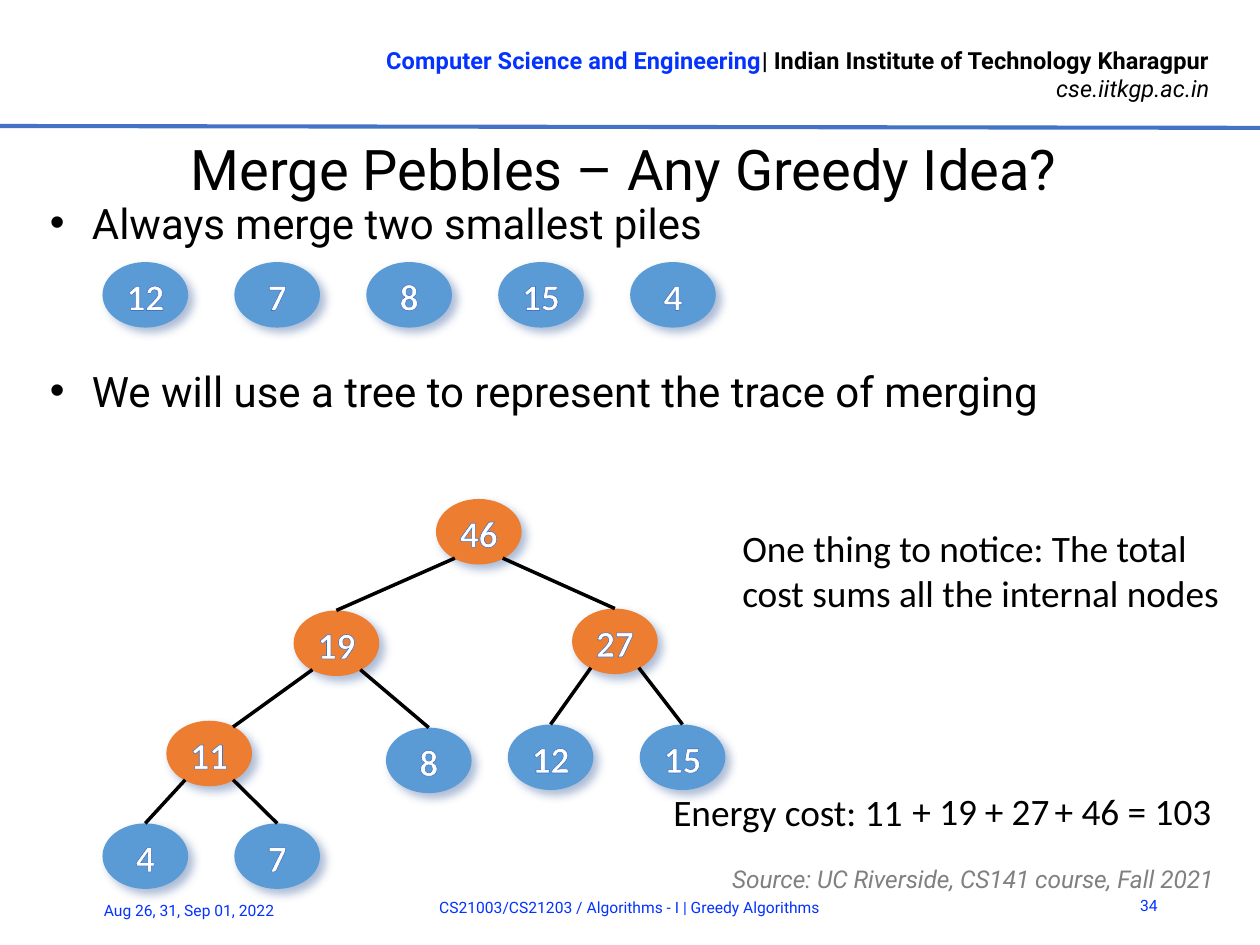
"""Build the slide on merging pebble piles greedily."""
from dataclasses import dataclass
from typing import Any, NamedTuple

from lxml import etree
from pptx import Presentation
from pptx import util as u
from pptx.dml.color import RGBColor
from pptx.enum import shapes, text
from pptx.oxml import ns

WIDTH = u.Inches(7.5)
HEIGHT = u.Emu(WIDTH * 3 // 4)
COLS, ROWS = 100, 75
NODE_W, NODE_H = 6.8, 5.2
SIDE_X, SIDE_Y = 1.9, 2.1
LEFT, MID, RIGHT = text.PP_ALIGN.LEFT, text.PP_ALIGN.CENTER, text.PP_ALIGN.RIGHT
TOP, CENTER = text.MSO_ANCHOR.TOP, text.MSO_ANCHOR.MIDDLE


@dataclass(frozen=True)
class Theme:
    """Hold the colours, fonts and type sizes."""
    ink: str = "000000"
    blue: str = "0432FF"
    rule: str = "4472C4"
    leaf: str = "5B9BD5"
    sum: str = "ED7D31"
    shade: str = "2F5597"
    white: str = "FFFFFF"
    grey: str = "808080"
    sans: str = "Roboto"
    plain: str = "Calibri"
    title: float = 24
    body: float = 18
    note: float = 16
    source: float = 10.5
    head: float = 10.13
    foot: float = 6.75


THEME = Theme()


class Run(NamedTuple):
    """Describe words with one look."""
    words: str
    size: float
    font: str = THEME.sans
    hue: str = THEME.ink
    bold: bool = False
    slant: bool = False


class Line(NamedTuple):
    """Describe one paragraph."""
    runs: list[Run]
    form: dict[str, Any] = {}
    mark: bool = False


class Box(NamedTuple):
    """Describe a text box in grid units."""
    x: float
    y: float
    w: float
    h: float
    lines: list[Line]
    anchor: Any = TOP
    wrap: bool = True


class Node(NamedTuple):
    """Describe one pile in grid units."""
    label: str
    x: float
    y: float
    hue: str = THEME.leaf


class Edge(NamedTuple):
    """Describe a branch; side is -1 for left and 1 for right."""
    start: str
    end: str
    side: int
    top: bool = True


def col(n: float) -> int:
    """Turn columns into a length."""
    return round(WIDTH * n / COLS)


def row(n: float) -> int:
    """Turn rows into a length."""
    return round(HEIGHT * n / ROWS)


def style(item: Any, form: dict[str, Any]) -> None:
    """Set each format value on an item."""
    for name, value in form.items():
        setattr(item, name, value)


def fill_text(frame: Any, lines: list[Line], form: dict[str, Any]) -> None:
    """Write styled lines into a text frame."""
    style(frame, form)
    for i, line in enumerate(lines):
        para = frame.add_paragraph() if i else frame.paragraphs[0]
        style(para, line.form)
        if line.mark:
            props = para._p.get_or_add_pPr()
            for name, inch in {"marL": 0.25, "indent": -0.25}.items():
                props.set(name, str(int(u.Inches(inch))))
            etree.SubElement(props, ns.qn("a:buFont")).set("typeface", "Arial")
            etree.SubElement(props, ns.qn("a:buChar")).set("char", "•")
        for part in line.runs:
            run = para.add_run()
            run.text = part.words
            style(run.font, {"size": u.Pt(part.size), "name": part.font,
                             "bold": part.bold, "italic": part.slant})
            run.font.color.rgb = RGBColor.from_string(part.hue)


def draw_box(slide: Any, box: Box) -> None:
    """Draw one text box."""
    shape = slide.shapes.add_textbox(col(box.x), row(box.y), col(box.w), row(box.h))
    fill_text(shape.text_frame, box.lines,
              {"word_wrap": box.wrap, "vertical_anchor": box.anchor})


def add_hue(parent: Any, hue: str) -> Any:
    """Add a colour element under a parent."""
    tint = etree.SubElement(parent, ns.qn("a:srgbClr"))
    tint.set("val", hue)
    return tint


def draw_node(slide: Any, node: Node) -> Any:
    """Draw one pile with a soft shadow and outlined label."""
    shape = slide.shapes.add_shape(shapes.MSO_SHAPE.OVAL, col(node.x), row(node.y),
                                   col(NODE_W), row(NODE_H))
    shape.fill.solid()
    shape.fill.fore_color.rgb = RGBColor.from_string(node.hue)
    shape.line.fill.background()
    shape.shadow.inherit = False
    glow = etree.SubElement(shape._element.spPr.find(ns.qn("a:effectLst")),
                            ns.qn("a:outerShdw"))
    for name, value in {"blurRad": u.Pt(4), "dist": u.Pt(3), "dir": 45 * 60000}.items():
        glow.set(name, str(int(value)))
    etree.SubElement(add_hue(glow, THEME.shade), ns.qn("a:alpha")).set("val", "40000")
    label = Run(node.label, THEME.note, THEME.plain, THEME.white, True)
    fill_text(shape.text_frame, [Line([label], {"alignment": MID})],
              {"margin_left": 0, "margin_right": 0, "margin_top": u.Inches(0.01),
               "margin_bottom": 0, "word_wrap": False, "vertical_anchor": CENTER})
    props = shape.text_frame.paragraphs[0].runs[0].font._element
    edge = etree.Element(ns.qn("a:ln"), w=str(int(u.Pt(0.8))))
    add_hue(etree.SubElement(edge, ns.qn("a:solidFill")), THEME.rule)
    props.insert(0, edge)
    return shape


def draw_line(slide: Any, ends: tuple[float, ...], hue: str, width: float) -> Any:
    """Draw a straight line between two grid points."""
    x1, y1, x2, y2 = ends
    line = slide.shapes.add_connector(shapes.MSO_CONNECTOR.STRAIGHT,
                                      col(x1), row(y1), col(x2), row(y2))
    line.line.color.rgb = RGBColor.from_string(hue)
    line.line.width = u.Pt(width)
    etree.SubElement(line._element.spPr, ns.qn("a:effectLst"))
    return line


def draw_tree(slide: Any, nodes: list[Node], edges: list[Edge]) -> None:
    """Draw the merge tree and its branches."""
    spots = {n.label: (n.x + NODE_W / 2, n.y + NODE_H / 2) for n in nodes}
    drawn = {n.label: draw_node(slide, n) for n in nodes}
    for edge in edges:
        (x1, y1), (x2, y2) = spots[edge.start], spots[edge.end]
        tip = (x2, y2 - NODE_H / 2) if edge.top else (x2 + SIDE_X, y2 - SIDE_Y)
        line = draw_line(slide, (x1 + edge.side * SIDE_X, y1 + SIDE_Y, *tip),
                         THEME.ink, 1.5)
        if edge.top:
            line.end_connect(drawn[edge.end], 0)


PILES = [Node(label, 8.13 + 10.47 * i, 20.8)
         for i, label in enumerate(["12", "7", "8", "15", "4"])]
TREE = [Node("46", 34.6, 39.6, THEME.sum), Node("19", 23.3, 48.45, THEME.sum),
        Node("27", 45.4, 48.3, THEME.sum), Node("11", 13.2, 57.2, THEME.sum),
        Node("8", 30.63, 57.75), Node("12", 40.3, 57.5), Node("15", 50.77, 57.5),
        Node("4", 8.13, 65.35), Node("7", 18.6, 65.35)]
EDGES = [Edge("46", "19", -1), Edge("46", "27", 1), Edge("19", "11", -1, False),
         Edge("19", "8", 1), Edge("27", "12", -1), Edge("27", "15", 1),
         Edge("11", "4", -1), Edge("11", "7", 1)]
SPACED = {"line_spacing": u.Pt(18), "space_before": u.Pt(3), "space_after": u.Pt(3)}
FEET = [("34", 88.27, 69.87, 4.93, RIGHT), ("Aug 26, 31, Sep 01, 2022", 6.93, 70.27, 17.5, LEFT),
        ("CS21003/CS21203 / Algorithms - I | Greedy Algorithms", 16.53, 70, 66.93, MID)]
COSTS = [("Energy cost: 11", 52.13, 62, 21.2), ("+ 19", 71.1, 61.9, 7.9),
         ("+ 27", 76.85, 61.9, 7.9), ("+ 46 = 103", 82.4, 61.9, 15.4)]
BOXES = [
    Box(25.47, 2.95, 71.87, 5.87, [
        Line([Run("Computer Science and Engineering", THEME.head, hue=THEME.blue, bold=True),
              Run("| Indian Institute of Technology Kharagpur", THEME.head, bold=True)],
             {"alignment": RIGHT}),
        Line([Run("cse.iitkgp.ac.in", THEME.head, slant=True)], {"alignment": RIGHT})],
        wrap=False),
    Box(2.65, 15.65, 93.73, 54, [
        Line([Run("Always merge two smallest piles", THEME.body)], SPACED, True),
        Line([Run("We will use a tree to represent the trace of merging", THEME.body)],
             SPACED | {"space_before": u.Pt(51)}, True)]),
    Box(56.8, 67.9, 42.4, 2.7, [
        Line([Run("Source: UC Riverside, CS141 course, Fall 2021", THEME.source,
                  hue=THEME.grey, slant=True)], SPACED)], CENTER),
    Box(57.6, 41.05, 41.6, 8.55, [
        Line([Run("One thing to notice: The total cost sums all the internal nodes",
                  THEME.note, THEME.plain)])]),
    *[Box(x, y, w, 4, [Line([Run(words, THEME.foot, hue=THEME.blue)], {"alignment": side})],
          CENTER) for words, x, y, w, side in FEET],
    *[Box(x, y, w, 4.93, [Line([Run(words, THEME.note, THEME.plain)])], wrap=False)
      for words, x, y, w in COSTS]]


def main() -> None:
    """Build and save the slide."""
    deck = Presentation()
    style(deck, {"slide_width": WIDTH, "slide_height": HEIGHT})
    slide = deck.slides.add_slide(deck.slide_layouts[5])
    title = slide.shapes.title
    style(title, {"left": col(3.2), "top": row(10.55), "width": col(92.6), "height": row(5.45)})
    fill_text(title.text_frame,
              [Line([Run("Merge Pebbles – Any Greedy Idea?", THEME.title)], {"alignment": MID})],
              {"margin_left": 0, "margin_right": 0, "margin_top": u.Inches(0.01),
               "margin_bottom": 0, "vertical_anchor": CENTER,
               "auto_size": text.MSO_AUTO_SIZE.NONE})
    draw_line(slide, (0, 10, COLS, 10.15), THEME.rule, 1.75)
    for box in BOXES:
        draw_box(slide, box)
    for pile in PILES:
        draw_node(slide, pile)
    draw_tree(slide, TREE, EDGES)
    deck.save("out.pptx")


if __name__ == "__main__":
    main()
